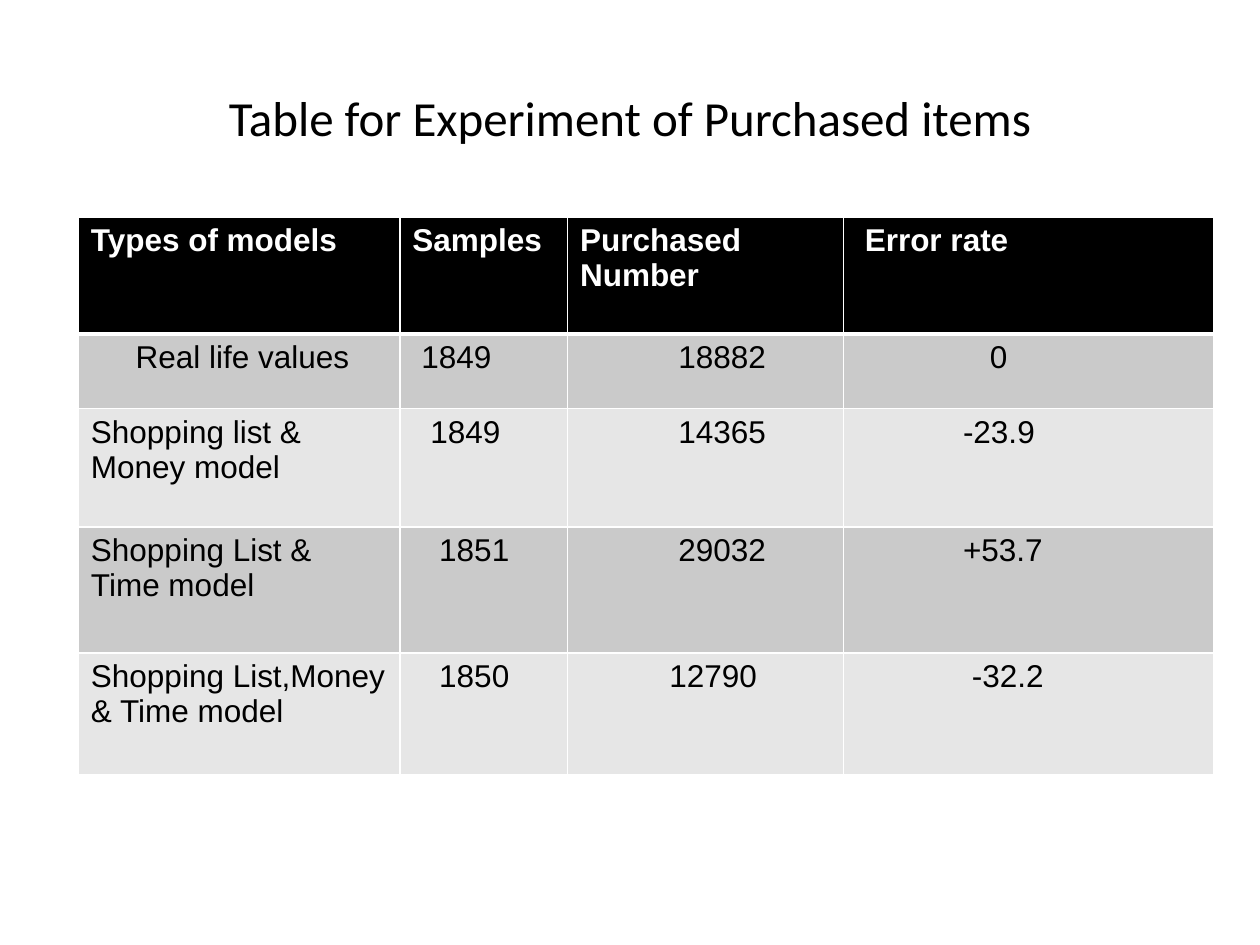
from lxml.etree import SubElement
from pptx import Presentation
from pptx.dml.color import RGBColor
from pptx.enum.text import MSO_ANCHOR, PP_ALIGN
from pptx.oxml.ns import qn
from pptx.util import Cm, Pt

BLACK = RGBColor(0x00, 0x00, 0x00)
WHITE = RGBColor(0xFF, 0xFF, 0xFF)
DARK_BAND = RGBColor(0xCA, 0xCA, 0xCA)
LIGHT_BAND = RGBColor(0xE6, 0xE6, 0xE6)

COLUMN_WIDTHS = (6.48, 3.38, 5.56, 7.47)
ROW_HEIGHTS = (2.36, 1.5, 2.39, 2.54, 2.46)
INDENT_STEP = 0.18  # cm, one character space at 18 pt

# Each cell holds its text and its indent in steps
ROWS = (
    (("Types of models", 0), ("Samples", 0), ("Purchased Number", 0), ("Error rate", 1)),
    (("Real life values", 5), ("1849", 1), ("18882", 11), ("0", 15)),
    (("Shopping list & Money model", 0), ("1849", 2), ("14365", 11), ("-23.9", 12)),
    (("Shopping List & Time model", 0), ("1851", 3), ("29032", 11), ("+53.7", 12)),
    (("Shopping List,Money & Time model", 0), ("1850", 3), ("12790", 10), ("-32.2", 13)),
)


def format_font(font, name, size, color, bold=False):
    font.name = name
    font.size = Pt(size)
    font.bold = bold
    font.color.rgb = color


def add_title(slide, text):
    title = slide.shapes.title
    title.left, title.top, title.width, title.height = Cm(1.27), Cm(0.76), Cm(22.86), Cm(3.18)
    title.text_frame.text = text
    title.text_frame.vertical_anchor = MSO_ANCHOR.MIDDLE
    paragraph = title.text_frame.paragraphs[0]
    paragraph.alignment = PP_ALIGN.CENTER
    format_font(paragraph.runs[0].font, "Calibri", 28, BLACK)


def set_borders(cell, widths):
    """Draw white borders; widths maps each side (L, R, T, B) to points."""
    properties = cell._tc.get_or_add_tcPr()
    for index, (side, width) in enumerate(widths.items()):
        line = SubElement(properties, qn(f"a:ln{side}"), w=str(Pt(width)))
        fill = SubElement(line, qn("a:solidFill"))
        SubElement(fill, qn("a:srgbClr"), val=str(WHITE))
        properties.insert(index, line)


def format_cell(cell, text, indent, row_index):
    is_header = row_index == 0
    cell.text_frame.text = text
    paragraph = cell.text_frame.paragraphs[0]
    paragraph._p.get_or_add_pPr().set("marL", str(Cm(indent * INDENT_STEP)))
    format_font(paragraph.runs[0].font, "Arial", 18, WHITE if is_header else BLACK, is_header)

    cell.fill.solid()
    band = DARK_BAND if row_index % 2 else LIGHT_BAND
    cell.fill.fore_color.rgb = BLACK if is_header else band
    set_borders(cell, {"L": 1, "R": 1,
                       "T": 3 if row_index == 1 else 1,
                       "B": 3 if is_header else 1})


def add_results_table(slide):
    frame = slide.shapes.add_table(
        len(ROWS), len(COLUMN_WIDTHS), Cm(1.58), Cm(4.37),
        Cm(sum(COLUMN_WIDTHS)), Cm(sum(ROW_HEIGHTS)))
    table = frame.table
    for column, width in zip(table.columns, COLUMN_WIDTHS):
        column.width = Cm(width)
    for row_index, (row, height, contents) in enumerate(zip(table.rows, ROW_HEIGHTS, ROWS)):
        row.height = Cm(height)
        for cell, (text, indent) in zip(row.cells, contents):
            format_cell(cell, text, indent, row_index)


def main():
    presentation = Presentation()
    presentation.slide_width, presentation.slide_height = Cm(25.4), Cm(19.05)
    slide = presentation.slides.add_slide(presentation.slide_layouts[5])  # title only
    add_title(slide, "Table for Experiment of Purchased items")
    add_results_table(slide)
    presentation.save("out.pptx")


if __name__ == "__main__":
    main()
